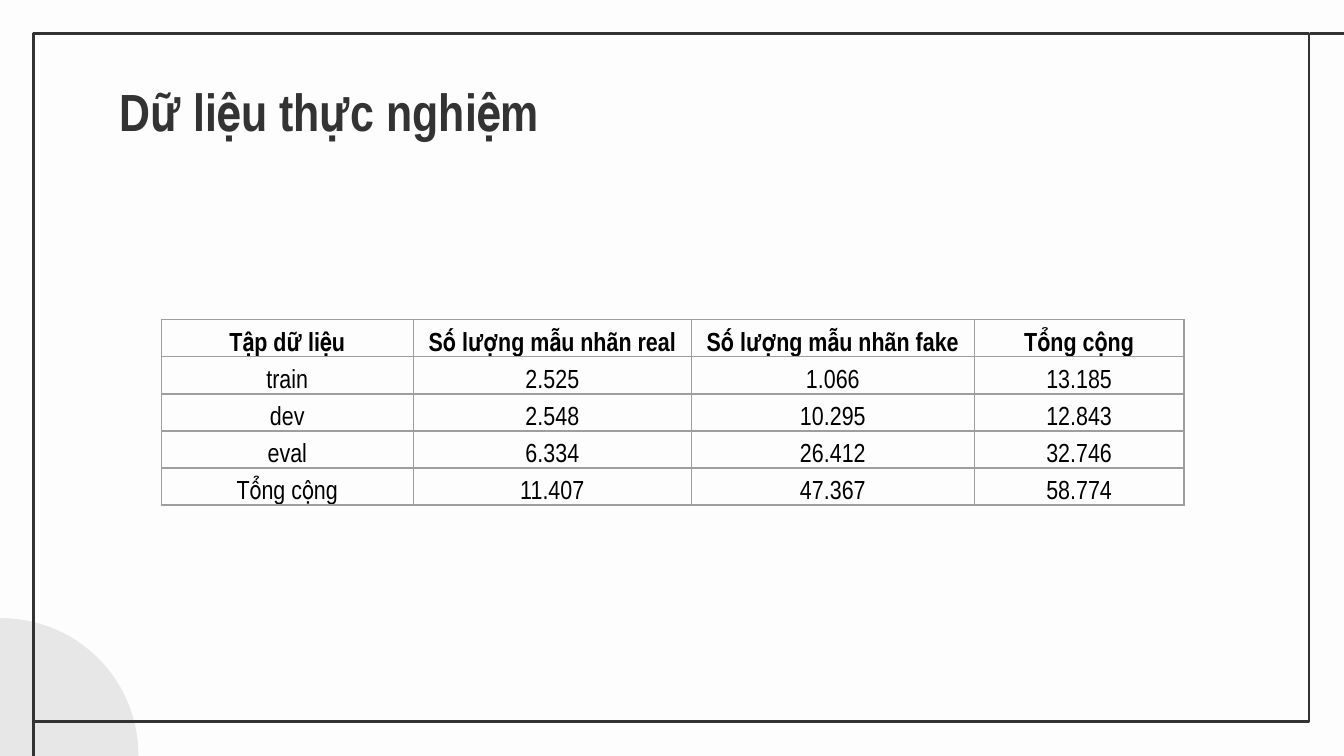
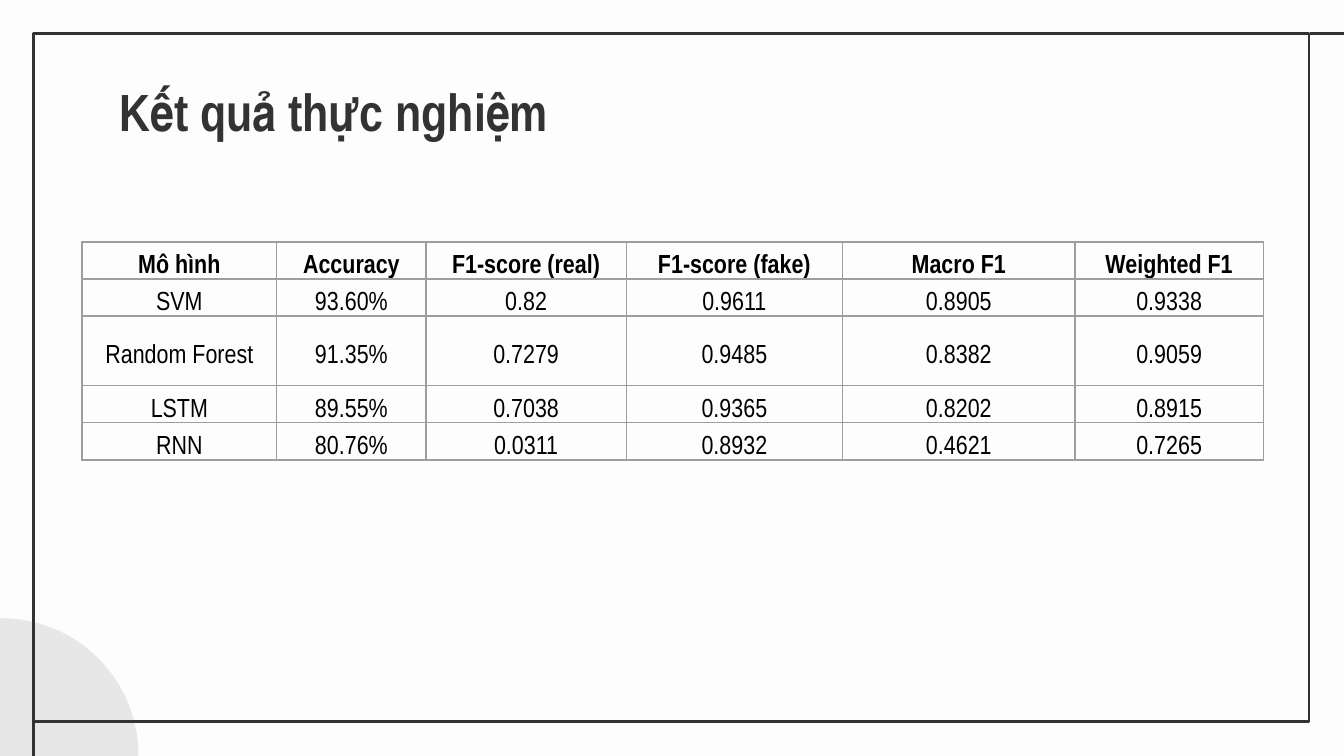
"""Builds two slides that show the experiment data and the experiment results."""
from dataclasses import dataclass

from lxml.etree import SubElement
from pptx import Presentation
from pptx.dml.color import RGBColor
from pptx.enum.shapes import MSO_CONNECTOR, MSO_SHAPE
from pptx.enum.text import MSO_ANCHOR, MSO_AUTO_SIZE, PP_ALIGN
from pptx.oxml import parse_xml
from pptx.oxml.ns import nsdecls, qn
from pptx.slide import Slide
from pptx.table import _Cell
from pptx.text.text import Font
from pptx.util import Emu, Pt

PX = 4572
FONT = "Arial Narrow"
PAPER, INK, DISC, GRID, BLACK = "FDFDFD", "333333", "E8E7E7", "9E9E9E", "000000"


@dataclass(frozen=True)
class Line:
    start_x: int
    start_y: int
    end_x: int
    end_y: int


@dataclass(frozen=True)
class TableSlide:
    title: str
    title_width: int
    left: int
    top: int
    columns: list[int]
    row_heights: list[int]
    rows: list[list[str]]


FRAME_TAILS = [Line(2016, 50, 1950, 50), Line(50, 1136, 50, 1070)]

TABLE_SLIDES = [
    TableSlide(
        "Dữ liệu thực nghiệm", 1686, 240, 476,
        [375, 414, 421, 312], [55, 55, 55, 55, 55],
        [
            ["Tập dữ liệu", "Số lượng mẫu nhãn real", "Số lượng mẫu nhãn fake", "Tổng cộng"],
            ["train", "2.525", "1.066", "13.185"],
            ["dev", "2.548", "10.295", "12.843"],
            ["eval", "6.334", "26.412", "32.746"],
            ["Tổng cộng", "11.407", "47.367", "58.774"],
        ],
    ),
    TableSlide(
        "Kết quả thực nghiệm", 766, 122, 360,
        [290, 222, 298, 322, 346, 280], [55, 55, 104, 55, 55],
        [
            ["Mô hình", "Accuracy", "F1-score (real)", "F1-score (fake)", "Macro F1", "Weighted F1"],
            ["SVM", "93.60%", "0.82", "0.9611", "0.8905", "0.9338"],
            ["Random Forest", "91.35%", "0.7279", "0.9485", "0.8382", "0.9059"],
            ["LSTM", "89.55%", "0.7038", "0.9365", "0.8202", "0.8915"],
            ["RNN", "80.76%", "0.0311", "0.8932", "0.4621", "0.7265"],
        ],
    ),
]


def px(length: int) -> Emu:
    """Turn px into EMU."""
    return Emu(length * PX)


def color(value: str) -> RGBColor:
    """Turn a hex string into a colour."""
    return RGBColor.from_string(value)


def style_font(font: Font, size: int, ink: str, bold: bool) -> None:
    """Apply the shared typeface with a size, colour and weight."""
    font.name = FONT
    font.size = Pt(size)
    font.bold = bold
    font.color.rgb = color(ink)


def draw_frame(slide: Slide) -> None:
    """Draw the corner disc, the frame and its two tails."""
    disc = slide.shapes.add_shape(MSO_SHAPE.OVAL, px(-202), px(920), px(408), px(408))
    disc.shadow.inherit = False
    disc.fill.solid()
    disc.fill.fore_color.rgb = color(DISC)
    disc.line.fill.background()
    frame = slide.shapes.add_shape(MSO_SHAPE.RECTANGLE, px(50), px(50), px(1898), px(1024))
    frame.shadow.inherit = False
    frame.fill.background()
    frame.line.color.rgb = color(INK)
    frame.line.width = Pt(1.5)
    for tail in FRAME_TAILS:
        connector = slide.shapes.add_connector(
            MSO_CONNECTOR.STRAIGHT,
            px(tail.start_x), px(tail.start_y), px(tail.end_x), px(tail.end_y),
        )
        connector.line.color.rgb = color(INK)
        connector.line.width = Pt(1.5)
        SubElement(connector._element.spPr, qn("a:effectLst"))


def write_title(slide: Slide, text: str, width: int) -> None:
    """Place and format the slide title."""
    title = slide.shapes.title
    title.left, title.top, title.width, title.height = px(158), px(98), px(width), px(204)
    frame = title.text_frame
    frame.text = text
    frame.word_wrap = True
    frame.auto_size = MSO_AUTO_SIZE.NONE
    frame.vertical_anchor = MSO_ANCHOR.TOP
    frame.margin_left = frame.margin_right = frame.margin_top = frame.margin_bottom = px(20)
    paragraph = frame.paragraphs[0]
    paragraph.alignment = PP_ALIGN.LEFT
    style_font(paragraph.runs[0].font, 28, INK, True)


def add_borders(cell: _Cell) -> None:
    """Give a cell a thin line on all four sides."""
    properties = cell._tc.get_or_add_tcPr()
    for position, side in enumerate(("lnL", "lnR", "lnT", "lnB")):
        border = parse_xml(
            f'<a:{side} {nsdecls("a")} w="{Pt(0.75)}"><a:solidFill>'
            f'<a:srgbClr val="{GRID}"/></a:solidFill></a:{side}>'
        )
        properties.insert(position, border)


def write_cell(cell: _Cell, text: str, bold: bool) -> None:
    """Fill and format one table cell."""
    cell.fill.background()
    add_borders(cell)
    cell.vertical_anchor = MSO_ANCHOR.MIDDLE
    cell.margin_left = cell.margin_right = px(14)
    cell.margin_top = cell.margin_bottom = 0
    cell.text_frame.text = text
    paragraph = cell.text_frame.paragraphs[0]
    paragraph.alignment = PP_ALIGN.CENTER
    paragraph.line_spacing = 1.5
    paragraph.space_after = Pt(6)
    style_font(paragraph.runs[0].font, 14, BLACK, bold)


def draw_table(slide: Slide, content: TableSlide) -> None:
    """Draw the table of one slide."""
    table = slide.shapes.add_table(
        len(content.rows), len(content.columns), px(content.left), px(content.top),
        px(sum(content.columns)), px(sum(content.row_heights)),
    ).table
    for column, width in zip(table.columns, content.columns):
        column.width = px(width)
    for row, height in zip(table.rows, content.row_heights):
        row.height = px(height)
    for row_index, values in enumerate(content.rows):
        for column_index, value in enumerate(values):
            write_cell(table.cell(row_index, column_index), value, row_index == 0)


def main() -> None:
    """Build and save the presentation."""
    presentation = Presentation()
    presentation.slide_width, presentation.slide_height = px(2000), px(1125)
    background = presentation.slide_master.background.fill
    background.solid()
    background.fore_color.rgb = color(PAPER)
    for content in TABLE_SLIDES:
        slide = presentation.slides.add_slide(presentation.slide_layouts[5])
        draw_frame(slide)
        write_title(slide, content.title, content.title_width)
        draw_table(slide, content)
    presentation.save("out.pptx")


if __name__ == "__main__":
    main()
